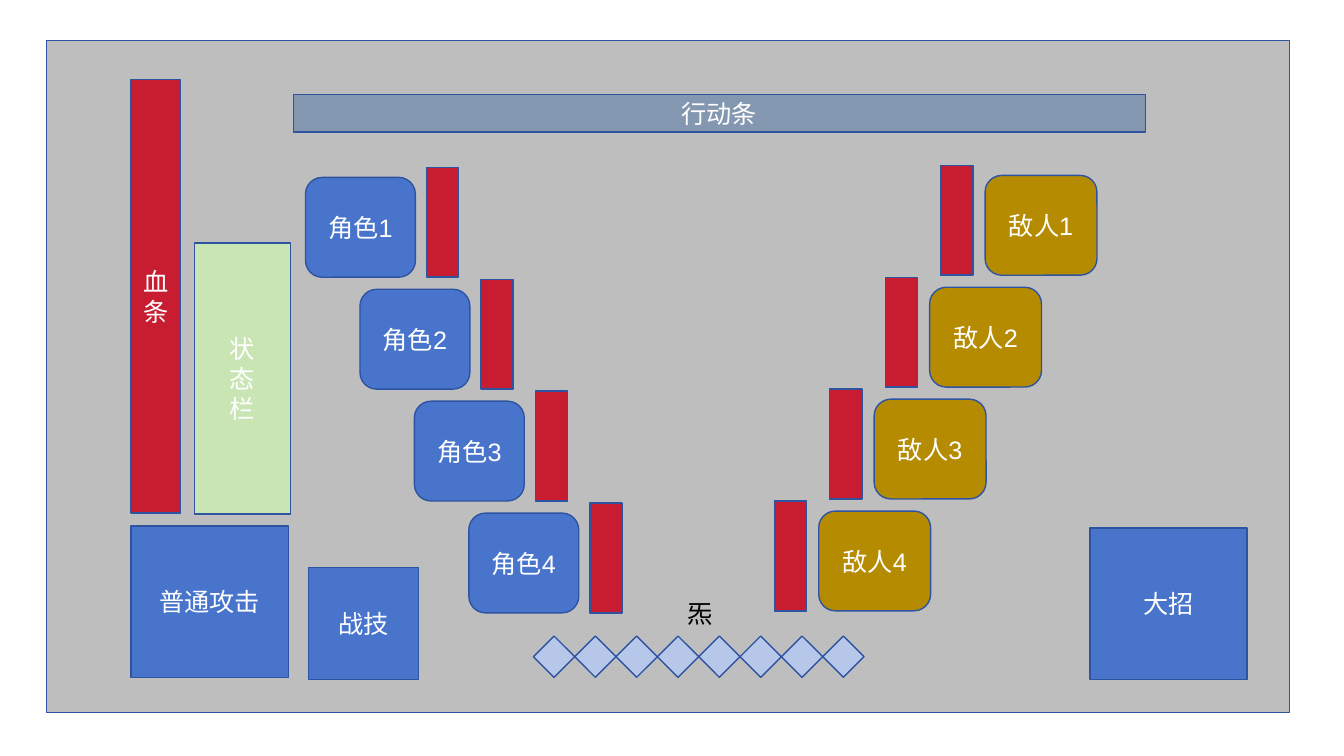
from dataclasses import dataclass

import pptx
import pptx.dml.color
import pptx.enum.shapes
import pptx.enum.text
import pptx.util

Inches = pptx.util.Inches
Shape = pptx.enum.shapes.MSO_SHAPE


@dataclass(frozen=True)
class Theme:
    font: str = "Arial"
    size: int = 18
    line_width: int = 1
    outline: str = "2E54A1"
    screen: str = "BEBEBE"
    blue: str = "4874CB"
    red: str = "C81D31"
    green: str = "C8E5B3"
    gold: str = "B58B01"
    slate: str = "8497B0"
    pale: str = "B6C7EA"
    light_text: str = "FFFFFF"
    dark_text: str = "000000"


THEME = Theme()


def rgb(value):
    return pptx.dml.color.RGBColor.from_string(value)


def write(frame, lines, color, align):
    frame.word_wrap = True
    for i, line in enumerate(lines):
        paragraph = frame.paragraphs[0] if i == 0 else frame.add_paragraph()
        paragraph.text = line
        paragraph.alignment = align
        paragraph.font.name = THEME.font
        paragraph.font.size = pptx.util.Pt(THEME.size)
        paragraph.font.color.rgb = rgb(color)


def add_block(slide, kind, box, fill, *lines):
    block = slide.shapes.add_shape(kind, *map(Inches, box))
    block.shadow.inherit = False
    block.fill.solid()
    block.fill.fore_color.rgb = rgb(fill)
    block.line.color.rgb = rgb(THEME.outline)
    block.line.width = pptx.util.Pt(THEME.line_width)
    if lines:
        block.text_frame.vertical_anchor = pptx.enum.text.MSO_ANCHOR.MIDDLE
        write(block.text_frame, lines, THEME.light_text, pptx.enum.text.PP_ALIGN.CENTER)
    return block


def add_player_panel(slide, left, top):
    """Health, status and the two attack buttons."""
    add_block(slide, Shape.RECTANGLE, (left, top, 0.49, 4.3), THEME.red, "血条")
    add_block(slide, Shape.RECTANGLE, (left + 0.63, top + 1.62, 0.95, 2.69),
              THEME.green, *"状态栏")
    add_block(slide, Shape.RECTANGLE, (left, top + 4.43, 1.56, 1.5), THEME.blue, "普通攻击")
    add_block(slide, Shape.RECTANGLE, (left + 1.76, top + 4.84, 1.09, 1.11),
              THEME.blue, "战技")


def add_team(slide, left, top, width, name, fill, bar_offset, step):
    """Four fighters on a diagonal, each with a health bar beside it."""
    for i in range(4):
        x, y = left + i * step, top + i * 1.11
        add_block(slide, Shape.ROUNDED_RECTANGLE, (x, y, width, 0.99), fill, f"{name}{i + 1}")
        add_block(slide, Shape.RECTANGLE, (x + bar_offset, y - 0.1, 0.32, 1.09), THEME.red)


def add_energy(slide, left, top, count=8, side=0.41):
    """Row of energy diamonds with its label above."""
    for i in range(count):
        add_block(slide, Shape.DIAMOND, (left + i * side, top, side, side), THEME.pale)
    label = slide.shapes.add_textbox(*map(Inches, (left + 1.43, top - 0.42, 0.48, 0.44)))
    write(label.text_frame, ["炁"], THEME.dark_text, pptx.enum.text.PP_ALIGN.LEFT)


def add_battle_screen(slide, left, top, width, height):
    add_block(slide, Shape.RECTANGLE, (left, top, width, height), THEME.screen)
    # Ultimate button and player controls
    add_block(slide, Shape.RECTANGLE, (left + 10.35, top + 4.84, 1.56, 1.5),
              THEME.blue, "大招")
    add_player_panel(slide, left + 0.84, top + 0.39)
    # Energy and turn order
    add_energy(slide, left + 4.83, top + 5.91)
    add_block(slide, Shape.RECTANGLE, (left + 2.45, top + 0.54, 8.45, 0.37),
              THEME.slate, "行动条")
    # The two teams
    add_team(slide, left + 2.57, top + 1.36, 1.09, "角色", THEME.blue, 1.2, 0.54)
    add_team(slide, left + 9.31, top + 1.34, 1.11, "敌人", THEME.gold, -0.44, -0.55)


def main():
    deck = pptx.Presentation()
    deck.slide_width, deck.slide_height = Inches(13.33), Inches(7.5)
    slide = deck.slides.add_slide(deck.slide_layouts[6])
    add_battle_screen(slide, 0.46, 0.4, 12.33, 6.67)
    deck.save("out.pptx")


if __name__ == "__main__":
    main()
